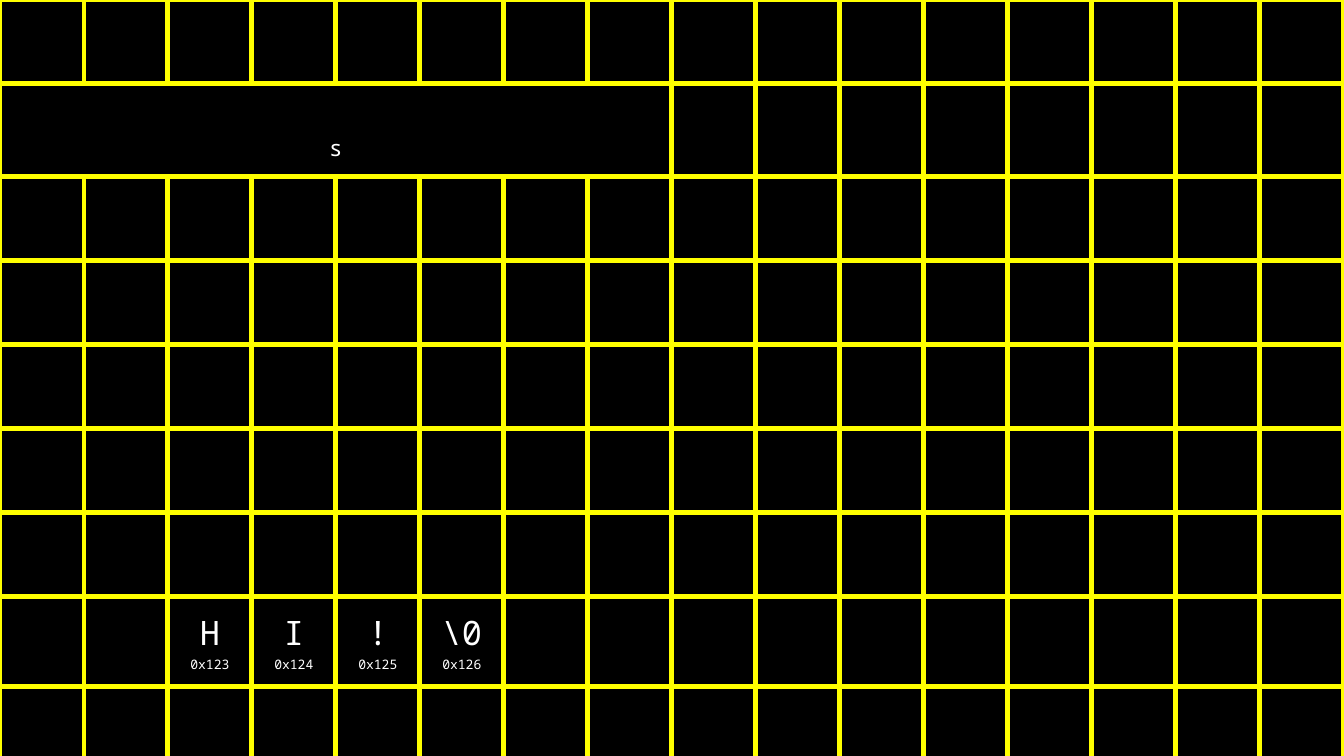
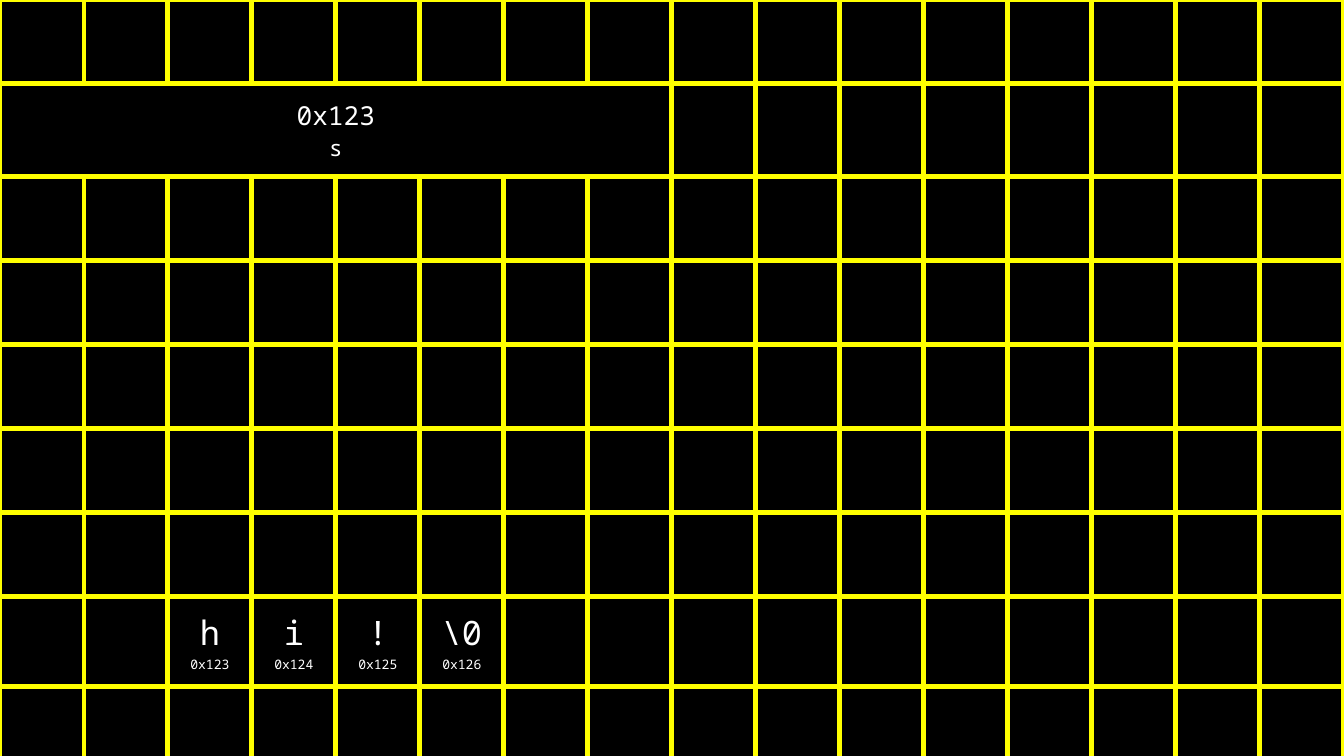
"""Build two slides that show a string laid out in a grid of memory bytes."""
from dataclasses import dataclass

from lxml import etree
from pptx import Presentation
from pptx import util as u
from pptx.dml.color import RGBColor
from pptx.enum import text
from pptx.oxml.ns import qn


@dataclass(frozen=True)
class Theme:
    """Colours, type sizes and line widths of the deck."""
    back: str = "000000"
    ink: str = "FFFFFF"
    grid: str = "FFFF00"
    font: str = "Noto Sans Mono"
    line: int = 3
    value: int = 14
    name: int = 12
    char: int = 18
    address: int = 7


THEME = Theme()
WIDTH, HEIGHT = u.Cm(25.4), u.Cm(14.29)
COLS, ROWS = 16, 12
BYTE = WIDTH // COLS
POINTER_ROW, POINTER_BYTES = 1, 8
STRING_ROW, STRING_COL = 7, 2
ROW_HEIGHTS = {POINTER_ROW: u.Cm(1.75), STRING_ROW: u.Cm(1.7)}
FIRST_ADDRESS = 0x123


def border_cell(cell):
    """Draw all four sides of a cell and leave it unfilled."""
    tcPr = cell._tc.get_or_add_tcPr()
    for side in ("a:lnL", "a:lnR", "a:lnT", "a:lnB"):
        ln = etree.SubElement(tcPr, qn(side), w=str(u.Pt(THEME.line)))
        fill = etree.SubElement(ln, qn("a:solidFill"))
        etree.SubElement(fill, qn("a:srgbClr"), val=THEME.grid)
    cell.fill.background()


def write_cell(cell, lines, anchor=text.MSO_ANCHOR.TOP):
    """Write centred lines, given as (wording, size) pairs, into a cell."""
    margin = u.Cm(0.25)
    cell_format = {"margin_left": margin, "margin_right": margin, "margin_top": margin,
                   "margin_bottom": margin, "vertical_anchor": anchor}
    for key, value in cell_format.items():
        setattr(cell, key, value)
    tf = cell.text_frame
    for i, (wording, size) in enumerate(lines):
        p = tf.add_paragraph() if i else tf.paragraphs[0]
        p.alignment = text.PP_ALIGN.CENTER
        r = p.add_run()
        r.text = wording
        for key, value in {"name": THEME.font, "size": u.Pt(size)}.items():
            setattr(r.font, key, value)
        r.font.color.rgb = RGBColor.from_string(THEME.ink)


def add_memory(s, left, top, width):
    """Add the grid of bytes, with one row joined for the pointer."""
    heights = [ROW_HEIGHTS.get(row, BYTE) for row in range(ROWS)]
    table = s.shapes.add_table(ROWS, COLS, left, top, width, sum(heights)).table
    for key in ("first_row", "horz_banding"):
        setattr(table, key, False)
    for column in table.columns:
        column.width = width // COLS
    for row, height in zip(table.rows, heights):
        row.height = height
    for cell in table.iter_cells():
        border_cell(cell)
    table.cell(POINTER_ROW, 0).merge(table.cell(POINTER_ROW, POINTER_BYTES - 1))
    return table


def add_memory_slide(prs, chars, pointer=None):
    """Add a slide with the pointer s and the characters of a string."""
    s = prs.slides.add_slide(prs.slide_layouts[6])
    table = add_memory(s, 0, 0, WIDTH)
    lines = [(pointer, THEME.value)] if pointer else []
    write_cell(table.cell(POINTER_ROW, 0), lines + [("s", THEME.name)],
               text.MSO_ANCHOR.BOTTOM)
    for i, char in enumerate(chars):
        write_cell(table.cell(STRING_ROW, STRING_COL + i),
                   [(char, THEME.char), (f"{FIRST_ADDRESS + i:#x}", THEME.address)])


def main():
    """Build and save the deck."""
    prs = Presentation()
    prs.slide_width, prs.slide_height = WIDTH, HEIGHT
    fill = prs.slide_master.background.fill
    fill.solid()
    fill.fore_color.rgb = RGBColor.from_string(THEME.back)
    add_memory_slide(prs, ["H", "I", "!", "\\0"])
    add_memory_slide(prs, ["h", "i", "!", "\\0"], pointer="0x123")
    prs.save("out.pptx")


if __name__ == "__main__":
    main()
